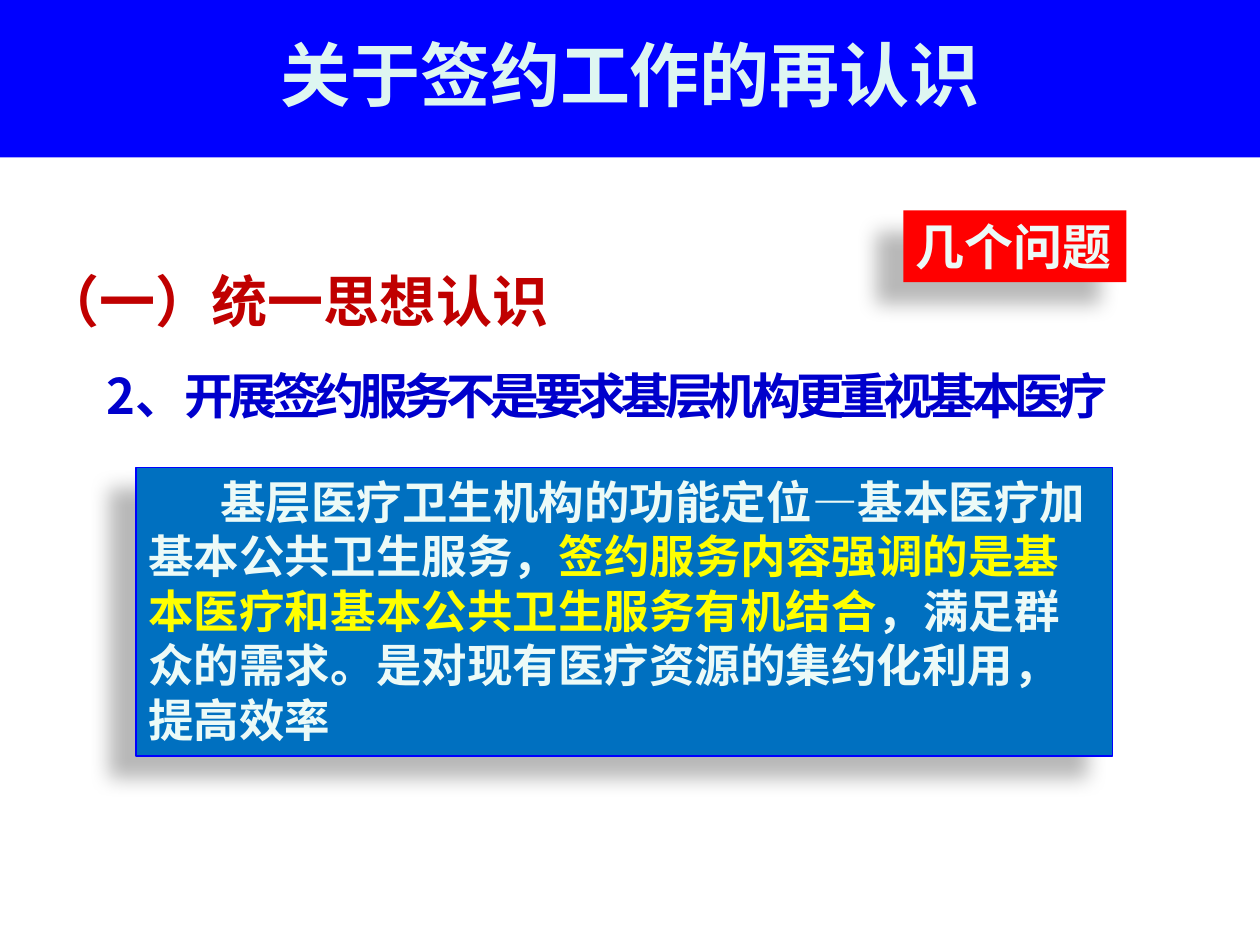
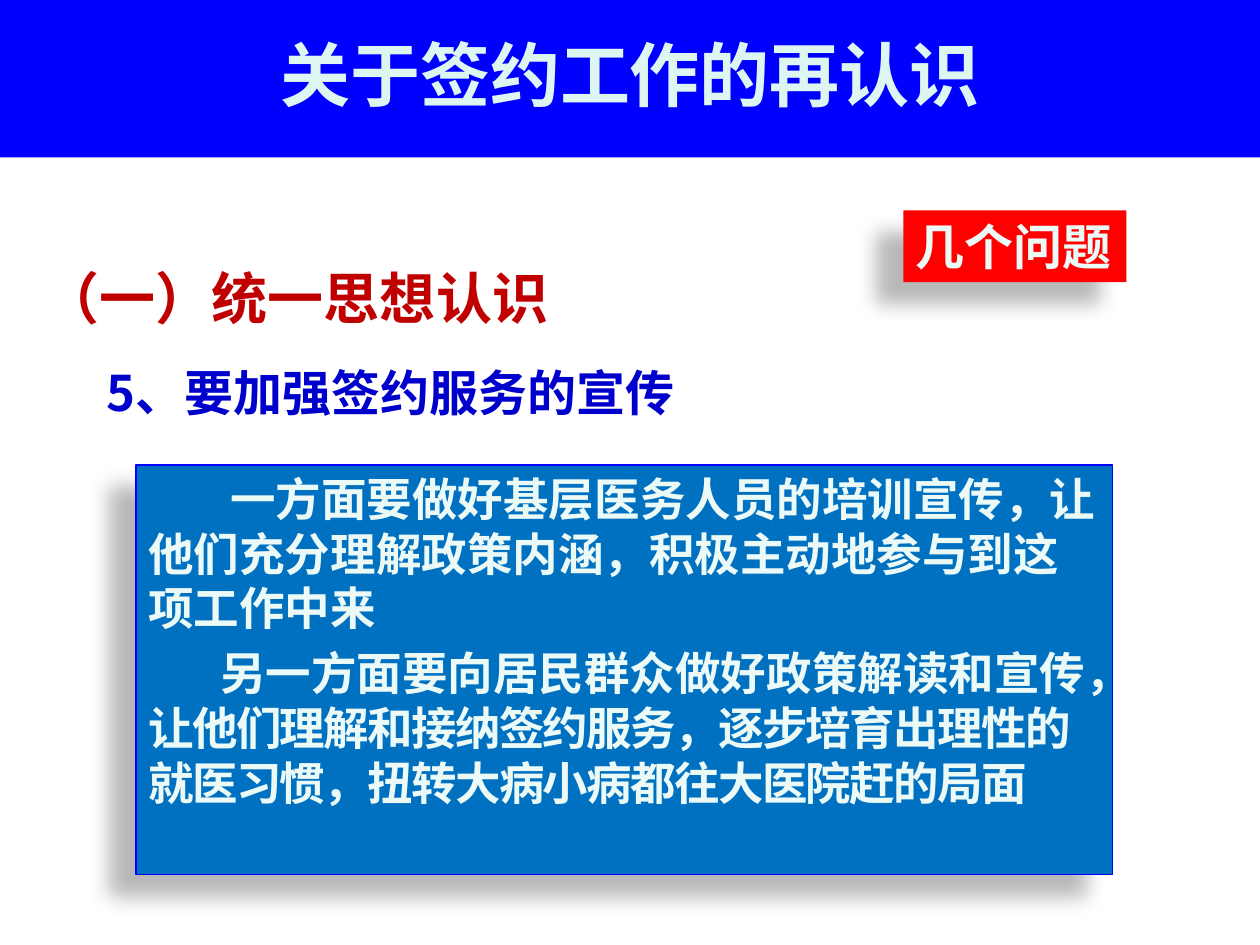
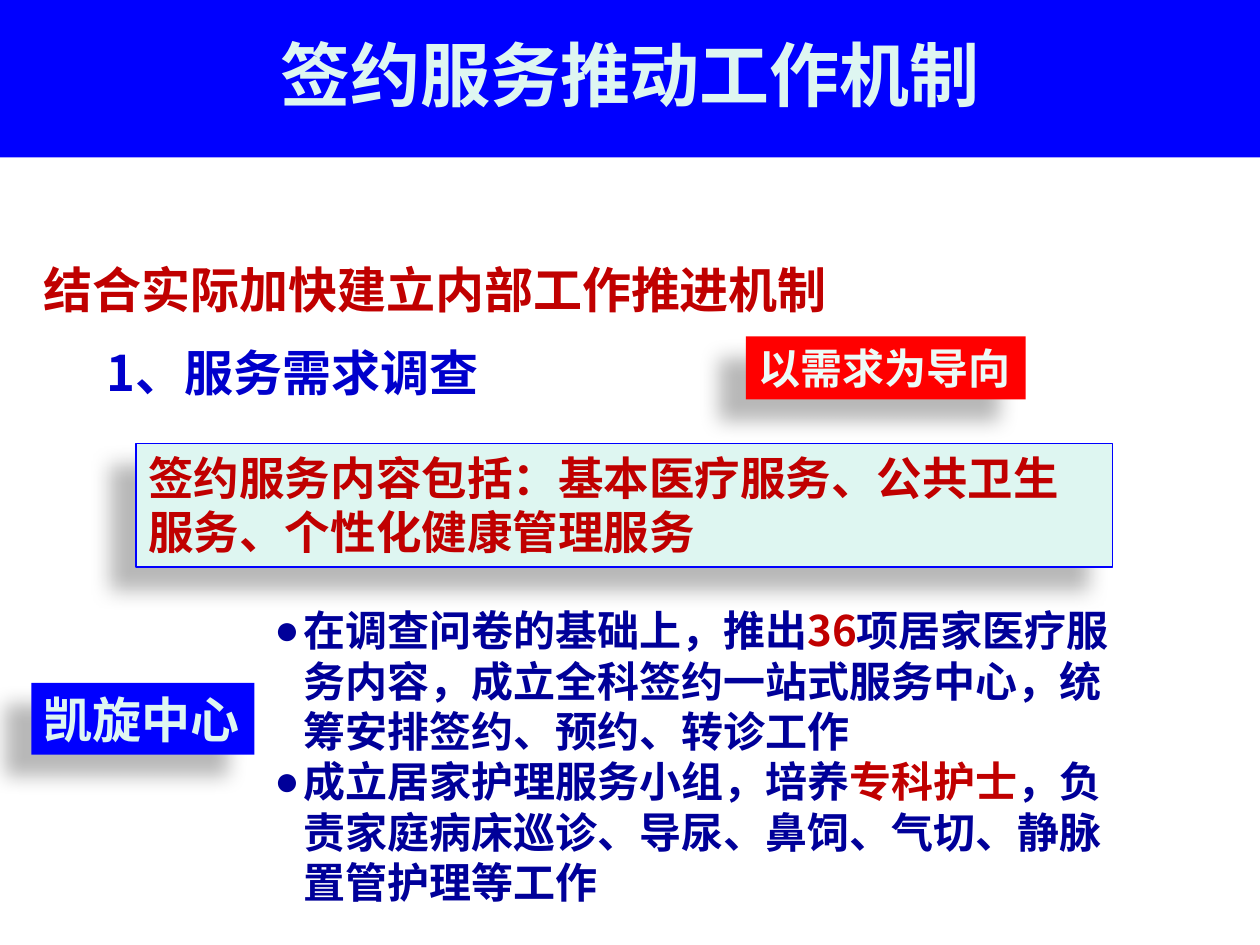
from dataclasses import dataclass

from lxml import etree
from pptx import Presentation
from pptx.dml.color import RGBColor
from pptx.enum.shapes import MSO_SHAPE
from pptx.enum.text import MSO_ANCHOR, MSO_AUTO_SIZE, PP_ALIGN
from pptx.oxml.ns import qn
from pptx.util import Inches, Pt

RECT = MSO_SHAPE.RECTANGLE
TOP, MIDDLE = MSO_ANCHOR.TOP, MSO_ANCHOR.MIDDLE
LEFT, CENTER = PP_ALIGN.LEFT, PP_ALIGN.CENTER
GROW, FIXED = MSO_AUTO_SIZE.SHAPE_TO_FIT_TEXT, MSO_AUTO_SIZE.NONE

FONT = "Noto Sans CJK SC"
COLORS = {
    "band": "0000FF",
    "title": "DEF6F1",
    "card": "0070C0",
    "pale": "ECFAF7",
    "mint": "DEF6F1",
    "yellow": "FFFF00",
    "tag": "FF0000",
    "red": "C00000",
    "blue": "0000CC",
    "navy": "000099",
    "shadow": "000000",
}


@dataclass(frozen=True)
class Run:
    text: str
    color: str = ""
    track: float = 0


@dataclass(frozen=True)
class Para:
    runs: tuple[Run, ...]
    indent: float = 0
    before: float = 0
    bullet: str = ""


@dataclass(frozen=True)
class Box:
    """A block of text; without a fill it is a plain text box."""
    at: tuple[float, float, float, float]
    paras: tuple[Para, ...]
    size: float
    color: str
    fill: str = ""
    edge: str = ""
    wrap: bool = True
    spacing: float = 1


@dataclass(frozen=True)
class Page:
    title: str
    boxes: tuple[Box, ...]


def rgb(name: str) -> RGBColor:
    return RGBColor.from_string(COLORS[name])


def line(text: str, **style) -> tuple[Para, ...]:
    return (Para((Run(text),), **style),)


def heading(top: float, text: str, width: float = 4.58,
            height: float = 0.85, size: float = 32) -> Box:
    return Box((0.25, top, width, height), line(text), size, "red", spacing=1.55)


def point(top: float, *runs: Run) -> Box:
    return Box((0.75, top, 8.58, 0.57), (Para(runs),), 28, "blue")


def card(top: float, height: float, paras: tuple[Para, ...],
         color: str = "pale", fill: str = "card") -> Box:
    return Box((1.08, top, 7.75, height), paras, 26, color, fill, "band")


def tag(left: float, top: float, text: str, width: float = 1.77, height: float = 0.57,
        size: float = 28, color: str = "pale", fill: str = "tag") -> Box:
    return Box((left, top, width, height), line(text), size, color, fill, wrap=False)


TOPIC = "关于签约工作的再认识"
UNITY = "（一）统一思想认识"
ISSUES = tag(7.17, 1.67, "几个问题")

PAGES = (
    Page(TOPIC, (
        card(3.71, 2.29, (Para((
            Run("基层医疗卫生机构的功能定位—基本医疗加基本公共卫生服务，"),
            Run("签约服务内容强调的是基本医疗和基本公共卫生服务有机结合", "yellow"),
            Run("，满足群众的需求。是对现有医疗资源的集约化利用，提高效率"),
        ), indent=0.57),)),
        heading(1.77, UNITY),
        point(2.85, Run("2、"), Run("开展签约服务不是要求基层机构更重视基本医疗", track=-3)),
        ISSUES,
    )),
    Page(TOPIC, (
        card(3.69, 3.25, (
            *line("一方面要做好基层医务人员的培训宣传，让他们充分理解政策内涵，"
                  "积极主动地参与到这项工作中来", indent=0.65),
            Para((
                Run("另一方面要向居民群众做好政策解读和宣传，"),
                Run("让他们理解和接纳签约服务，逐步培育出理性的就医习惯，"
                    "扭转大病小病都往大医院赶的局面", track=-1),
            ), indent=0.57, before=6),
        )),
        heading(1.75, UNITY),
        point(2.83, Run("5、要加强签约服务的宣传")),
        ISSUES,
    )),
    Page("签约服务推动工作机制", (
        heading(1.75, "结合实际加快建立内部工作推进机制", 7.75, 0.83, 28),
        card(3.52, 0.98, line("签约服务内容包括：基本医疗服务、公共卫生服务、"
                              "个性化健康管理服务"), "red", "mint"),
        point(2.67, Run("1、服务需求调查")),
        tag(5.92, 2.67, "以需求为导向", 2.22, 0.5, 24),
        Box((2.08, 4.75, 7, 2.52), (
            Para((
                Run("在调查问卷的基础上，推出"),
                Run("36", "red"),
                Run("项居家医疗服务内容，成立全科签约一站式服务中心，"
                    "统筹安排签约、预约、转诊工作"),
            ), indent=-0.23, bullet="●"),
            Para((
                Run("成立居家护理服务小组，培养"),
                Run("专科护士", "red"),
                Run("，负责家庭病床巡诊、导尿、鼻饲、气切、静脉置管护理等工作"),
            ), indent=-0.23, bullet="●"),
        ), 24, "navy"),
        tag(0.25, 5.42, "凯旋中心", color="title", fill="band"),
    )),
)


def write(shape, paras: tuple[Para, ...], *, size: float, color: str, align=LEFT,
          anchor=TOP, fit=GROW, wrap: bool = True, spacing: float = 1) -> None:
    frame = shape.text_frame
    frame.word_wrap = wrap
    frame.auto_size = fit
    frame.vertical_anchor = anchor
    for i, para in enumerate(paras):
        item = frame.paragraphs[0] if i == 0 else frame.add_paragraph()
        item.alignment = align
        item.line_spacing = spacing
        item.space_before = Pt(para.before)
        props = item._p.get_or_add_pPr()
        props.set("marL", str(Inches(max(0, -para.indent))))
        props.set("indent", str(Inches(para.indent)))
        if para.bullet:
            etree.SubElement(props, qn("a:buFont"), typeface="Arial")
            etree.SubElement(props, qn("a:buChar"), char=para.bullet)
        for run in para.runs:
            part = item.add_run()
            part.text = run.text
            font = part.font
            font.size, font.bold, font.name = Pt(size), True, FONT
            font.color.rgb = rgb(run.color or color)
            mark = part._r.get_or_add_rPr()
            etree.SubElement(mark, qn("a:ea"), typeface=FONT)
            if run.track:
                mark.set("spc", str(int(run.track * 100)))


def shade(shape) -> None:
    """Cast a soft shadow down to the left."""
    shape.shadow.inherit = False
    effects = shape._element.spPr.find(qn("a:effectLst"))
    outer = etree.SubElement(effects, qn("a:outerShdw"), blurRad=str(Pt(11.8)),
                             dist=str(Pt(19.7)), dir=str(141 * 60000))
    tone = etree.SubElement(outer, qn("a:srgbClr"), val=COLORS["shadow"])
    etree.SubElement(tone, qn("a:alpha"), val="28000")


def paint(shape, fill: str) -> None:
    shape.fill.solid()
    shape.fill.fore_color.rgb = rgb(fill)


def place(shape, at: tuple[float, float, float, float]) -> None:
    shape.left, shape.top, shape.width, shape.height = map(Inches, at)


def draw(slide, box: Box) -> None:
    at = [Inches(n) for n in box.at]
    if box.fill:
        shape = slide.shapes.add_shape(RECT, *at)
        paint(shape, box.fill)
        shade(shape)
        if box.edge:
            shape.line.color.rgb = rgb(box.edge)
            shape.line.width = Pt(0.75)
        else:
            shape.line.fill.background()
    else:
        shape = slide.shapes.add_textbox(*at)
    write(shape, box.paras, size=box.size, color=box.color,
          wrap=box.wrap, spacing=box.spacing)


def build(deck, page: Page) -> None:
    slide = deck.slides.add_slide(deck.slide_layouts[5])
    band = slide.shapes.title
    place(band, (0, 0, 10, 1.25))
    paint(band, "band")
    write(band, line(page.title), size=40, color="title", align=CENTER,
          anchor=MIDDLE, fit=FIXED, spacing=0.9)
    for box in page.boxes:
        draw(slide, box)


def main() -> None:
    deck = Presentation()
    deck.slide_width, deck.slide_height = Inches(10), Inches(7.5)
    for page in PAGES:
        build(deck, page)
    deck.save("out.pptx")


if __name__ == "__main__":
    main()
